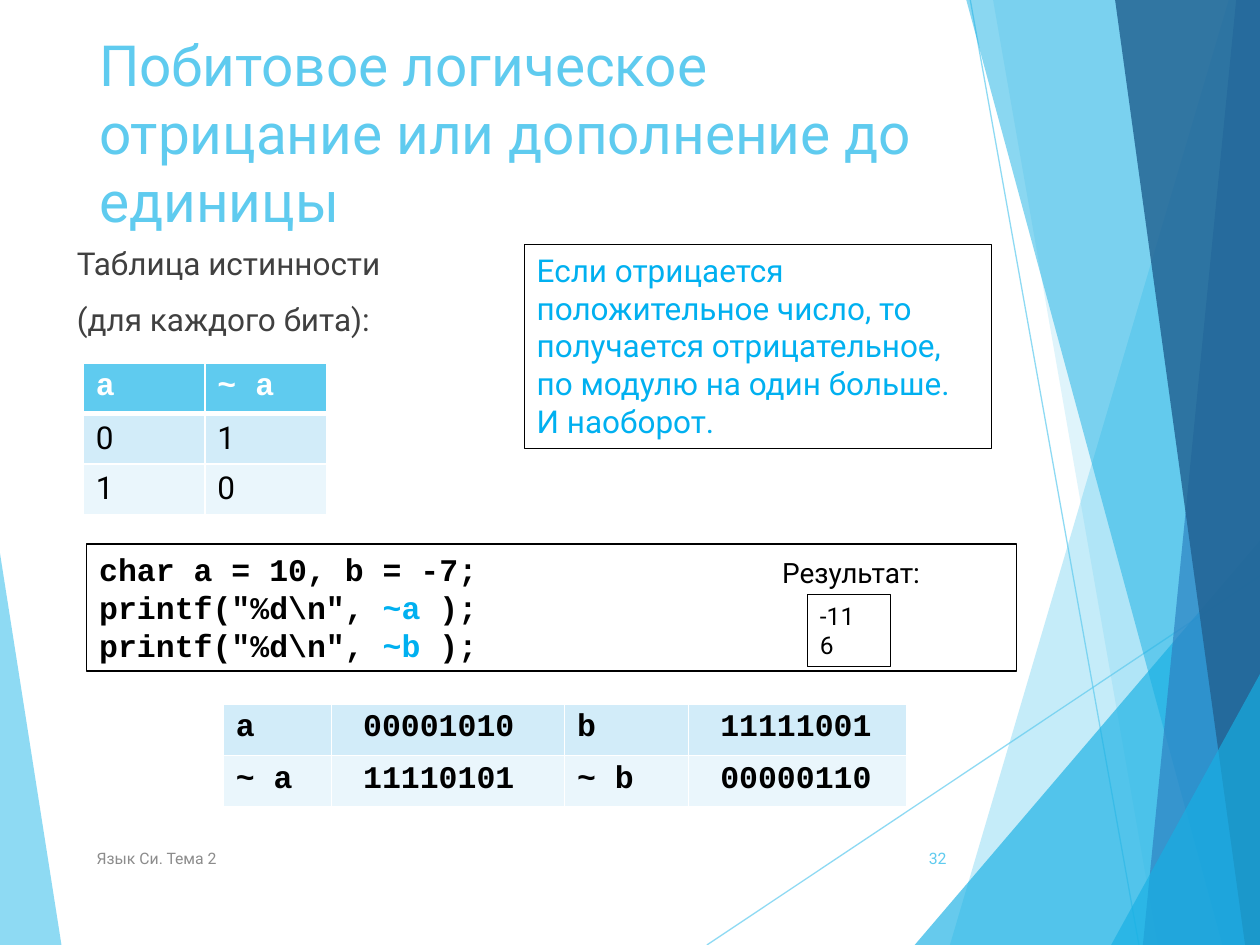
from lxml import etree
from pptx import Presentation
from pptx.dml.color import RGBColor
from pptx.enum.shapes import MSO_CONNECTOR, MSO_SHAPE
from pptx.enum.text import MSO_ANCHOR, PP_ALIGN
from pptx.oxml.ns import qn
from pptx.util import Cm, Pt

RECT = MSO_SHAPE.RECTANGLE
STRAIGHT = MSO_CONNECTOR.STRAIGHT
TOP, MIDDLE = MSO_ANCHOR.TOP, MSO_ANCHOR.MIDDLE
LEFT, RIGHT = PP_ALIGN.LEFT, PP_ALIGN.RIGHT

SKY = RGBColor(0x5F, 0xCB, 0xEF)
AZURE = RGBColor(0x17, 0xB0, 0xE4)
BLUE = RGBColor(0x2E, 0x83, 0xC3)
NAVY = RGBColor(0x22, 0x62, 0x92)
ACCENT = RGBColor(0x00, 0xB0, 0xF0)
BAND_DARK = RGBColor(0xD2, 0xEC, 0xF9)
BAND_LIGHT = RGBColor(0xEA, 0xF6, 0xFC)
WHITE = RGBColor(0xFF, 0xFF, 0xFF)
BLACK = RGBColor(0, 0, 0)
DARK_GRAY = RGBColor(0x40, 0x40, 0x40)
GRAY = RGBColor(0x8C, 0x8C, 0x8C)

SANS, MONO = "Roboto", "Courier New"
W, H = 25.4, 19.05


class SlideBuilder:
    def __init__(self, s):
        self.s = s

    def set_alpha(self, fill_parent, percent):
        color = fill_parent.find(f"{qn('a:solidFill')}/{qn('a:srgbClr')}")
        etree.SubElement(color, qn("a:alpha"), val=str(percent * 1000))

    def style_font(self, font, size, color, name=SANS, bold=False):
        font.size, font.name, font.bold = Pt(size), name, bold
        font.color.rgb = color

    def polygon(self, points, color, alpha):
        points = [(Cm(x), Cm(y)) for x, y in points]
        builder = self.s.shapes.build_freeform(*points[0])
        builder.add_line_segments(points[1:])
        sp = builder.convert_to_shape()
        sp.shadow.inherit = False
        sp.fill.solid()
        sp.fill.fore_color.rgb = color
        sp.line.fill.background()
        self.set_alpha(sp.element.spPr, alpha)

    def line(self, x1, y1, x2, y2):
        c = self.s.shapes.add_connector(STRAIGHT, Cm(x1), Cm(y1), Cm(x2), Cm(y2))
        c.line.color.rgb = SKY
        c.line.width = Pt(0.75)
        spPr = c.element.spPr
        self.set_alpha(spPr.find(qn("a:ln")), 70)
        etree.SubElement(spPr, qn("a:effectLst"))

    def text(self, box, paragraphs, size, color, name=SANS, bold=False,
             anchor=TOP, align=LEFT, gap=0, framed=False):
        box = [Cm(v) for v in box]
        if framed:
            sp = self.s.shapes.add_shape(RECT, *box)
            sp.shadow.inherit = False
            sp.fill.background()
            sp.line.color.rgb = BLACK
            sp.line.width = Pt(0.75)
        else:
            sp = self.s.shapes.add_textbox(*box)
        tf = sp.text_frame
        tf.word_wrap = True
        tf.vertical_anchor = anchor
        for i, runs in enumerate(paragraphs):
            p = tf.paragraphs[0] if i == 0 else tf.add_paragraph()
            p.alignment = align
            p.space_before = Pt(gap if i else 0)
            for content, run_color in [(runs, color)] if isinstance(runs, str) else runs:
                r = p.add_run()
                r.text = content
                self.style_font(r.font, size, run_color, name, bold)

    def cell(self, cell, content, fill, color, name, bold, bottom):
        tcPr = cell._tc.get_or_add_tcPr()
        for side, width in (("L", 1), ("R", 1), ("T", 1), ("B", bottom)):
            ln = etree.SubElement(tcPr, qn(f"a:ln{side}"), w=str(Pt(width)))
            solid = etree.SubElement(ln, qn("a:solidFill"))
            etree.SubElement(solid, qn("a:srgbClr"), val=str(WHITE))
        cell.fill.solid()
        cell.fill.fore_color.rgb = fill
        cell.text = content
        self.style_font(cell.text_frame.paragraphs[0].runs[0].font, 18, color, name, bold)

    def table(self, left, top, widths, row_height, rows, fills,
              name=SANS, bold=False, header=False, indented=()):
        frame = self.s.shapes.add_table(
            len(rows), len(widths), Cm(left), Cm(top),
            Cm(sum(widths)), Cm(row_height * len(rows)))
        table = frame.table
        table.first_row = header
        for column, width in zip(table.columns, widths):
            column.width = Cm(width)
        for i, (row, fill) in enumerate(zip(rows, fills)):
            table.rows[i].height = Cm(row_height)
            head = header and i == 0
            for j, content in enumerate(row):
                cell = table.cell(i, j)
                self.cell(cell, content, fill, WHITE if head else BLACK,
                          MONO if head else name, head or bold, 3 if head else 1)
                if j in indented:
                    cell.margin_left = Cm(0.64)


def main():
    prs = Presentation()
    prs.slide_width, prs.slide_height = Cm(W), Cm(H)
    b = SlideBuilder(prs.slides.add_slide(prs.slide_layouts[6]))

    b.polygon([(0, 11.15), (1.24, H), (0, H)], SKY, 70)
    b.line(14.25, H, W, 11.61)
    b.line(19.56, 0, 22.96, H)
    for top_x, top_y, bottom_x, color, alpha in (
        (24.77, 0, 19.15, SKY, 36),
        (20.02, 0, 23.34, SKY, 20),
        (W, 10.9, 18.44, AZURE, 66),
        (19.48, 0, 24.64, AZURE, 50),
        (24.92, 0, 23.04, BLUE, 70),
        (22.48, 0, 25.1, NAVY, 82),
        (W, 13.59, 22.4, AZURE, 66),
    ):
        b.polygon([(top_x, top_y), (bottom_x, H), (W, H), (W, top_y)], color, alpha)

    b.text((1.75, 0.48, 17.63, 2.39),
           ["Побитовое логическое отрицание или дополнение до единицы"], 32.4, SKY)
    b.text((1.7, 16.79, 12.85, 1.02), ["Язык Си. Тема 2"], 9, GRAY, anchor=MIDDLE)
    b.text((17.91, 16.79, 1.42, 1.02), ["32"], 9, SKY, anchor=MIDDLE, align=RIGHT)

    b.table(1.68, 7.32, [2.45, 2.45], 1.01,
            [["a", "~ a"], ["0", "1"], ["1", "0"]],
            [SKY, BAND_DARK, BAND_LIGHT], header=True)

    code = ["char a = 10, b = -7;"]
    for operand in ("~a", "~b"):
        code.append([('printf("%d\\n", ', BLACK), (operand, ACCENT), (" );", BLACK)])
    b.text((1.75, 10.97, 18.75, 2.56), code, 18, BLACK, MONO, True, framed=True)
    b.text((15.52, 11.07, 3.89, 0.94), ["Результат:"], 16, BLACK)
    b.text((16.28, 11.99, 1.68, 1.45), ["-11", "6"], 14, BLACK, framed=True)

    b.table(4.5, 14.2, [2.18, 4.7, 2.5, 4.4], 1.03,
            [["a", "00001010", "b", "11111001"],
             ["~ a", "11110101", "~ b", "00000110"]],
            [BAND_DARK, BAND_LIGHT], MONO, True, indented=(1, 3))

    b.text((1.3, 4.8, 6.81, 2.31), ["Таблица истинности", "(для каждого бита):"],
           18, DARK_GRAY, gap=10)
    b.text((10.57, 4.93, 9.42, 4.11),
           ["Если отрицается положительное число, то получается отрицательное, "
            "по модулю на один больше.", "И наоборот."], 18, ACCENT, framed=True)

    prs.save("out.pptx")


if __name__ == "__main__":
    main()
